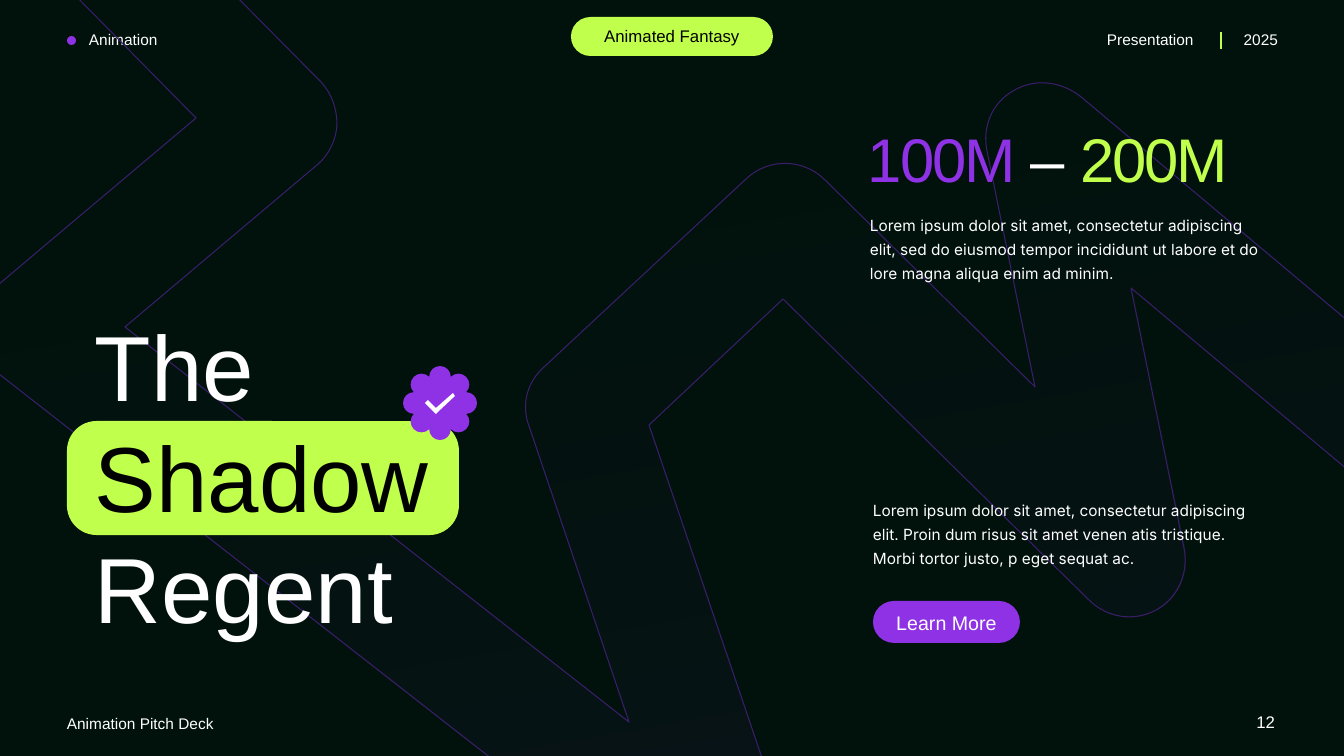
from math import cos, pi, sin

from lxml import etree
from pptx import Presentation
from pptx.dml.color import RGBColor
from pptx.enum.shapes import MSO_CONNECTOR, MSO_SHAPE
from pptx.enum.text import PP_ALIGN
from pptx.oxml.ns import qn
from pptx.util import Pt

LEFT, CENTER, RIGHT = PP_ALIGN.LEFT, PP_ALIGN.CENTER, PP_ALIGN.RIGHT
OVAL, ROUNDED = MSO_SHAPE.OVAL, MSO_SHAPE.ROUNDED_RECTANGLE
STRAIGHT = MSO_CONNECTOR.STRAIGHT

PX = 914400 / 100.8
COLORS = {
    "night": "01120C",
    "lime": "C1FF4D",
    "violet": "8F32E6",
    "outline": "3B1E6B",
    "white": "FFFFFF",
    "black": "000000",
}

RIBBON = [
    (225, -15), (65, -15), (196, 118), (-2, 285),
    (-15, 296, -23, 313, -22, 331), (-22, 348, -14, 364, -1, 374),
    (711, 930),
    (721, 938, 733, 942, 745, 942), (757, 942, 769, 938, 778, 931),
    (799, 917, 807, 891, 799, 867),
    (649, 425), (783, 299), (1089, 600),
    (1107, 618, 1134, 622, 1156, 610), (1178, 598, 1189, 573, 1184, 548),
    (1131, 288), (1367, 486), (1367, 337), (1080, 96),
    (1060, 81, 1034, 78, 1013, 91), (992, 103, 982, 127, 987, 151),
    (1035, 387), (825, 180),
    (803, 158, 768, 158, 746, 179),
    (544, 367),
    (527, 382, 521, 405, 529, 426),
    (629, 722), (125, 327), (317, 165),
    (329, 155, 336, 140, 337, 125), (337, 109, 332, 94, 321, 82),
]
CHECK = [(453, 393), (436, 408), (428, 400), (425, 403), (436, 414), (439, 411), (455, 396)]


def emu(px):
    """Turn px into EMU."""
    return round(px * PX)


def rgb(name):
    """Look up a named colour."""
    return RGBColor.from_string(COLORS[name])


def scallop(cx, cy, radius, lobes=8):
    """Return the path of a badge whose lobes are two quarter arcs each."""
    half = pi / lobes
    valley = radius / (cos(half) + sin(half))
    ring, lobe = valley * cos(half), valley * sin(half)
    pull = 0.55
    path = []
    for n in range(lobes):
        a = 2 * half * n

        def at(out, side):
            """Place a point given outward and sideways from the lobe centre."""
            out, side = ring + lobe * out, lobe * side
            return cx + out * cos(a) - side * sin(a), cy + out * sin(a) + side * cos(a)

        if not path:
            path.append(at(0, -1))
        path.append(at(pull, -1) + at(1, -pull) + at(1, 0))
        path.append(at(1, pull) + at(pull, 1) + at(0, 1))
    return path


def add_run(p, text, size=11, color="white", font="Arial", spacing=None):
    """Add formatted text to a paragraph."""
    r = p.add_run()
    r.text = text
    r.font.size = Pt(size)
    r.font.name = font
    r.font.color.rgb = rgb(color)
    if spacing is not None:
        r.font._element.set("spc", str(round(spacing * 100)))


class Deck:
    """Holds the style and the current slide."""

    def __init__(self, prs):
        """Add a blank slide with a dark background."""
        self.slide = prs.slides.add_slide(prs.slide_layouts[6])
        self.shapes = self.slide.shapes
        fill = self.slide.background.fill
        fill.solid()
        fill.fore_color.rgb = rgb("night")

    def paint(self, sp, color):
        """Give a shape a flat fill without line or shadow."""
        sp.shadow.inherit = False
        sp.line.fill.background()
        sp.fill.solid()
        sp.fill.fore_color.rgb = rgb(color)

    def shape(self, kind, x, y, w, h, color, adj=None):
        """Add a preset shape."""
        sp = self.shapes.add_shape(kind, emu(x), emu(y), emu(w), emu(h))
        self.paint(sp, color)
        if adj is not None:
            sp.adjustments[0] = adj

    def outline(self, path, color):
        """Add a closed freeform; six numbers make a cubic curve."""
        start, *ends = [(emu(seg[-2]), emu(seg[-1])) for seg in path]
        builder = self.shapes.build_freeform(*start, scale=1.0)
        builder.add_line_segments(ends, close=True)
        sp = builder.convert_to_shape()
        self.paint(sp, color)
        for seg, node in zip(path[1:], list(sp._element.iter(qn("a:lnTo")))):
            if len(seg) == 6:
                node.tag = qn("a:cubicBezTo")
                for i, (x, y) in enumerate((seg[:2], seg[2:4])):
                    pt = etree.Element(qn("a:pt"))
                    pt.set("x", str(emu(x) - sp.left))
                    pt.set("y", str(emu(y) - sp.top))
                    node.insert(i, pt)
        return sp

    def ribbon(self, path):
        """Add the faint gradient ribbon with a thin edge."""
        sp = self.outline(path, "night")
        sp.fill.gradient()
        sp.fill.gradient_angle = 280
        for stop, color, alpha in zip(sp.fill.gradient_stops, ("night", "violet"), (0, 9)):
            stop.color.rgb = rgb(color)
            clr = stop._gs.find(qn("a:srgbClr"))
            etree.SubElement(clr, qn("a:alpha")).set("val", str(alpha * 1000))
        sp.line.color.rgb = rgb("outline")
        sp.line.width = Pt(0.75)

    def line(self, x1, y1, x2, y2, color):
        """Add a straight line."""
        s = self.shapes.add_connector(STRAIGHT, emu(x1), emu(y1), emu(x2), emu(y2))
        s.line.color.rgb = rgb(color)
        s.line.width = Pt(1)
        etree.SubElement(s._element.spPr, qn("a:effectLst"))

    def text(self, x, y, w, h, *paragraphs, align=LEFT, leading=None, **fmt):
        """Add a text box; a paragraph is a string or a list of (text, colour)."""
        tf = self.shapes.add_textbox(emu(x), emu(y), emu(w), emu(h)).text_frame
        tf.word_wrap = True
        for i, runs in enumerate(paragraphs):
            p = tf.add_paragraph() if i else tf.paragraphs[0]
            p.alignment = align
            if leading:
                p.line_spacing = leading
            if isinstance(runs, str):
                add_run(p, runs, **fmt)
            else:
                for text, color in runs:
                    add_run(p, text, color=color, **fmt)


def main():
    """Build the slide and save it."""
    prs = Presentation()
    prs.slide_width, prs.slide_height = emu(1344), emu(756)
    s = Deck(prs)
    body = {"font": "Inter", "leading": 1.3}

    s.text(79, 25, 129, 29, "Animation")
    s.shape(OVAL, 67, 36, 9, 9, "violet")
    s.text(1097, 25, 117, 29, "Presentation")
    s.text(1226, 25, 62, 29, "2025", align=RIGHT)
    s.line(1221, 32, 1221, 49, "lime")
    s.text(1216, 707, 69, 30, "12", size=12, align=RIGHT)
    s.text(57, 709, 267, 29, "Animation Pitch Deck")
    s.shape(ROUNDED, 571, 17, 202, 39, "lime", adj=0.5)
    s.text(591, 21, 162, 30, "Animated Fantasy", size=12, color="black", align=CENTER)

    s.ribbon(RIBBON)

    s.shape(ROUNDED, 67, 421, 392, 114, "lime", adj=0.26)
    s.text(85, 304, 393, 346, [("The ", "white"), ("Shadow", "black"), (" Regent", "white")],
           size=66)

    s.text(863, 491, 418, 81,
           "Lorem ipsum dolor sit amet, consectetur adipiscing elit. Proin dum risus sit amet "
           "venen atis tristique. Morbi tortor justo, p eget sequat ac.", **body)
    s.shape(ROUNDED, 873, 601, 147, 42, "violet", adj=0.5)
    s.text(886, 606, 121, 34, "Learn More", size=14, align=CENTER)
    s.text(860, 206, 416, 81,
           "Lorem ipsum dolor sit amet, consectetur adipiscing",
           "elit, sed do eiusmod tempor incididunt ut labore et do",
           "lore magna aliqua enim ad minim.", **body)
    s.text(858, 116, 399, 85, [("100M", "violet"), (" – ", "white"), ("200M", "lime")],
           size=44, spacing=-1.5)

    s.outline(scallop(440, 403, 37), "violet")
    s.outline(CHECK, "white")

    prs.save("out.pptx")


if __name__ == "__main__":
    main()
